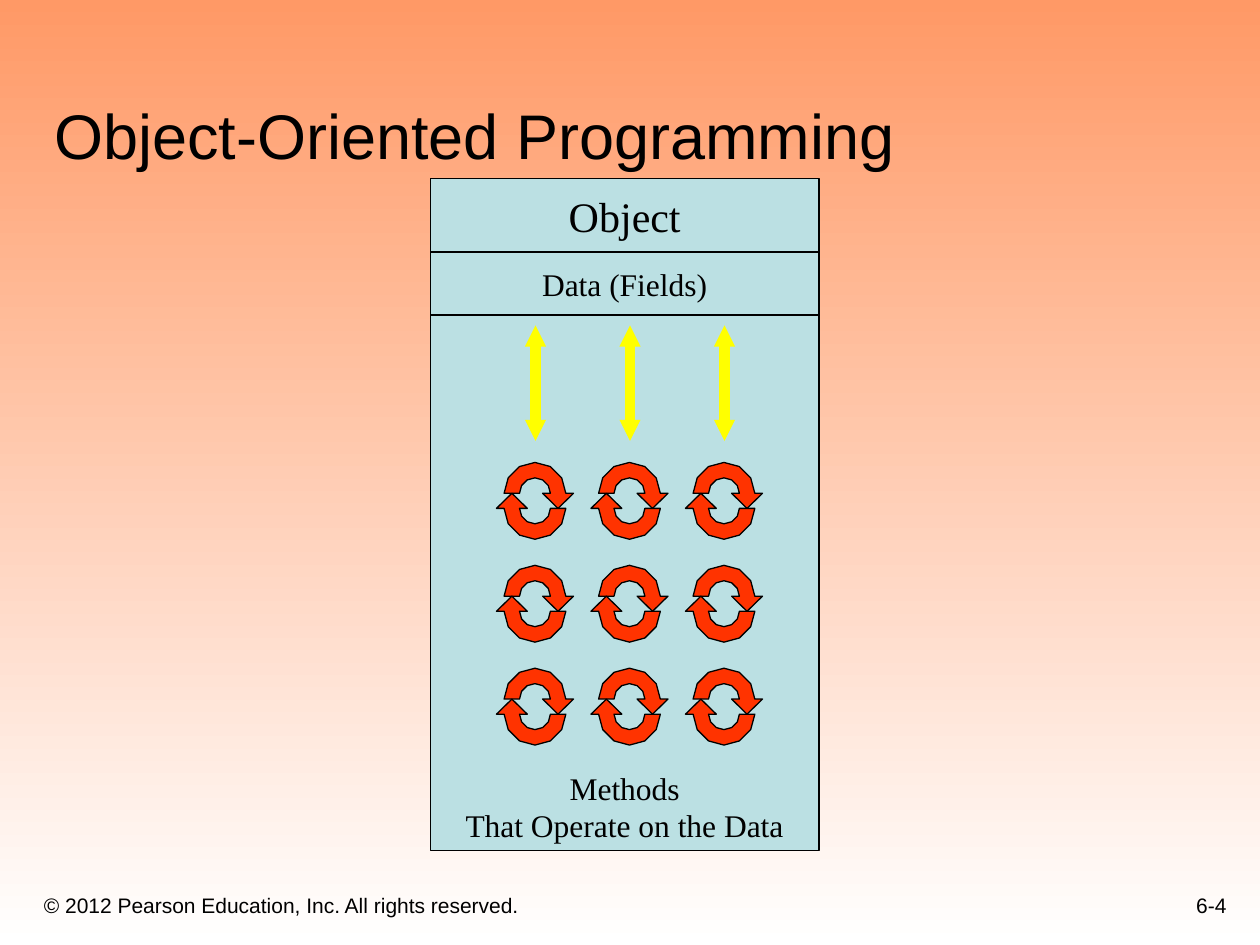
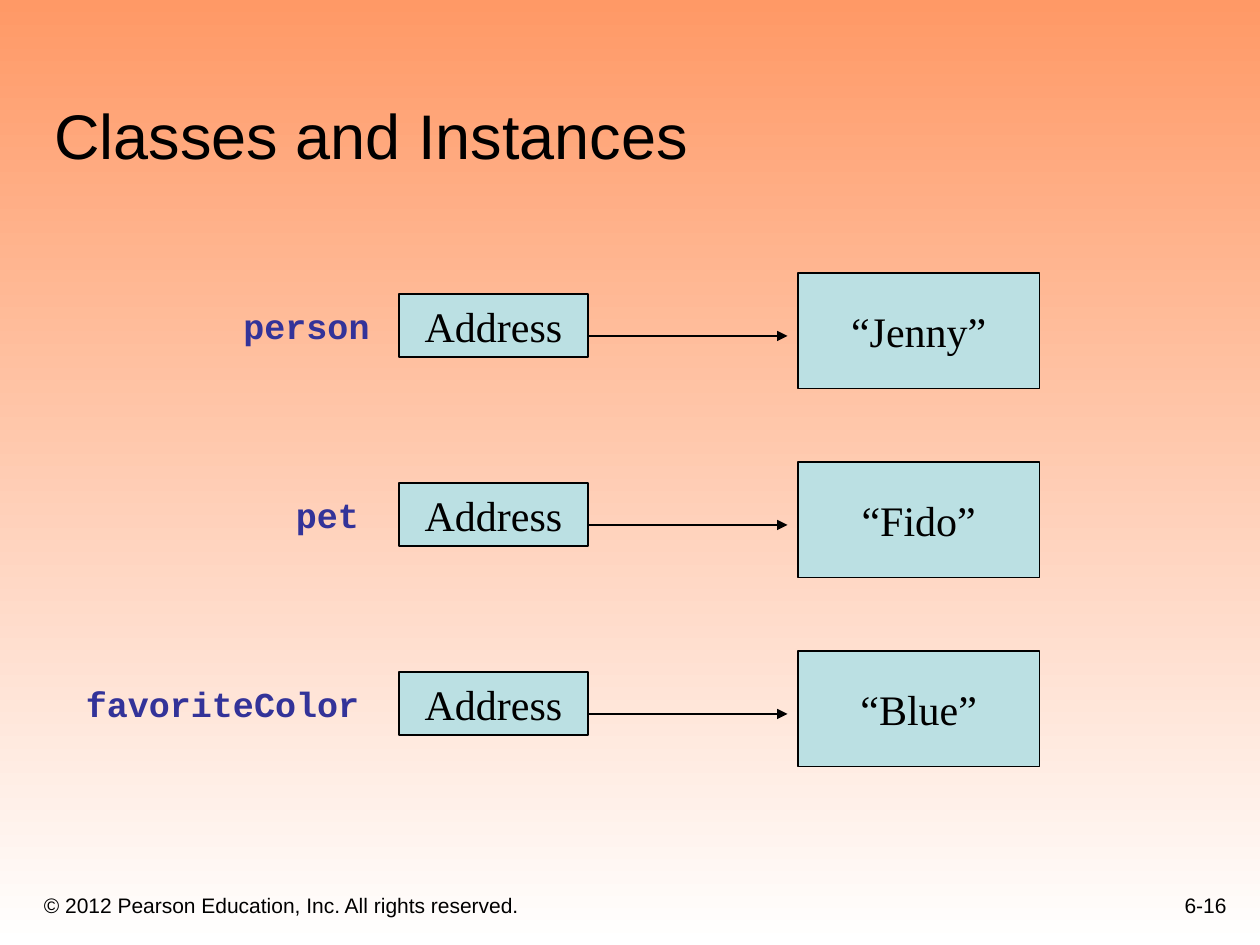
from math import cos, pi, sin

from lxml.etree import SubElement
from pptx import Presentation
from pptx.dml.color import RGBColor
from pptx.enum.shapes import MSO_CONNECTOR, MSO_SHAPE
from pptx.enum.text import MSO_ANCHOR, MSO_AUTO_SIZE, PP_ALIGN
from pptx.oxml.ns import qn
from pptx.util import Inches, Pt

BLACK, PANEL, RED, YELLOW, NAVY = "000000", "BBE0E3", "FF3300", "FFFF00", "333399"
BACKGROUND = ("FF9966", "FFFFFF")
SANS, SERIF, MONO = "Arial", "Times New Roman", "Courier New"
COPYRIGHT = "© 2012 Pearson Education, Inc. All rights reserved."


def color(value):
    return RGBColor.from_string(value)


def grid(*steps):
    """Lengths on the layout grid, twelve steps to the inch."""
    return [Inches(step / 12) for step in steps]


def write(box, text, size, font, ink=BLACK, bold=False, align=PP_ALIGN.LEFT,
          anchor=MSO_ANCHOR.MIDDLE, wrap=True, fit=MSO_AUTO_SIZE.NONE):
    frame = box.text_frame
    frame.word_wrap = wrap
    frame.auto_size = fit
    frame.vertical_anchor = anchor
    para = frame.paragraphs[0]
    para.alignment = align
    for number, line in enumerate(text.split("\n")):
        if number:
            para.add_line_break()
        span = para.add_run()
        span.text = line
        span.font.size = Pt(size)
        span.font.name = font
        span.font.bold = bold
        span.font.color.rgb = color(ink)


def add_label(page, left, top, width, height, text, size, font, **style):
    box = page.shapes.add_textbox(*grid(left, top, width, height))
    write(box, text, size, font, **style)


def paint(shape, fill):
    shape.shadow.inherit = False
    shape.fill.solid()
    shape.fill.fore_color.rgb = color(fill)
    shape.line.color.rgb = color(BLACK)
    shape.line.width = Pt(0.75)


def add_panel(page, left, top, width, height, text, size, anchor=MSO_ANCHOR.MIDDLE):
    panel = page.shapes.add_shape(MSO_SHAPE.RECTANGLE, *grid(left, top, width, height))
    paint(panel, PANEL)
    write(panel, text, size, SERIF, align=PP_ALIGN.CENTER, anchor=anchor, wrap=False)


def add_arrow(page, x1, y1, x2, y2, ink, width, ends, size):
    arrow = page.shapes.add_connector(MSO_CONNECTOR.STRAIGHT, *grid(x1, y1, x2, y2))
    arrow.line.color.rgb = color(ink)
    arrow.line.width = Pt(width)
    outline = arrow.line._get_or_add_ln()
    for end in ends:
        SubElement(outline, qn(f"a:{end}"), type="triangle", w=size, len=size)
    SubElement(arrow._element.spPr, qn("a:effectLst"))


def add_page(deck, title, number):
    page = deck.slides.add_slide(deck.slide_layouts[6])
    # Background fading downwards
    fill = page.background.fill
    fill.gradient()
    fill.gradient_angle = 270
    for stop, shade in zip(fill.gradient_stops, BACKGROUND):
        stop.color.rgb = color(shade)
    # Footer and title
    bottom = MSO_ANCHOR.BOTTOM
    add_label(page, 3, 83, 73, 5, COPYRIGHT, 12, SANS, anchor=bottom)
    add_label(page, 93, 82, 25, 6, number, 12, SANS, align=PP_ALIGN.RIGHT, anchor=bottom)
    add_label(page, 4, 4, 113, 13, title, 36, SANS, anchor=bottom)
    return page


def add_cycle(page, center_x, center_y):
    """Two half-ring arrows, the second being the first turned half way round."""
    outer, inner, offset, steps = 2.94, 1.47, 0.72, 6
    angles = [pi * step / steps for step in range(steps + 1)]
    inside = [(inner * cos(a), -offset - inner * sin(a)) for a in angles]
    outside = [(outer * cos(a), -offset - outer * sin(a)) for a in reversed(angles)]
    head = [(3.67, -offset), (2.2, offset), (0.73, -offset)]
    for turn in (1, -1):
        points = [grid(center_x + turn * x, center_y + turn * y)
                  for x, y in inside + outside + head]
        builder = page.shapes.build_freeform(*points[0])
        builder.add_line_segments(points[1:], close=True)
        paint(builder.convert_to_shape(), RED)


def add_object_diagram(page, left, top, width):
    # Stacked panels
    add_panel(page, left, top, width, 7, "Object", 24)
    add_panel(page, left, top + 7, width, 6, "Data (Fields)", 18)
    add_panel(page, left, top + 13, width, 51, "Methods\nThat Operate on the Data", 18,
              anchor=MSO_ANCHOR.BOTTOM)
    # Columns of methods, each tied to the data by a double arrow
    for column in range(3):
        x = left + 10 + 9 * column
        for row in range(3):
            add_cycle(page, x - 0.05, top + 30.7 + 9.8 * row)
        add_arrow(page, x, top + 25, x, top + 14, YELLOW, 6, ("headEnd", "tailEnd"), "sm")


def add_reference(page, top, name, left, value):
    # Variable name, as wide as its letters
    add_label(page, left, top + 2.36, 2 * len(name) + 2.45, 5.24, name, 20, MONO, ink=NAVY,
              bold=True, anchor=MSO_ANCHOR.TOP, wrap=False,
              fit=MSO_AUTO_SIZE.SHAPE_TO_FIT_TEXT)
    # Address pointing to the instance
    add_panel(page, 38, top + 2, 18, 6, "Address", 24)
    add_panel(page, 76, top, 23, 11, value, 24)
    add_arrow(page, 56, top + 6, 75, top + 6, BLACK, 0.75, ("tailEnd",), "med")


def main():
    deck = Presentation()
    deck.slide_width, deck.slide_height = Inches(10), Inches(7.5)

    page = add_page(deck, "Object-Oriented Programming", "6-4")
    add_object_diagram(page, 41, 17, 37)

    page = add_page(deck, "Classes and Instances", "6-16")
    references = [("person", 22, "“Jenny”"), ("pet", 27, "“Fido”"),
                  ("favoriteColor", 7, "“Blue”")]
    for row, reference in enumerate(references):
        add_reference(page, 26 + 18 * row, *reference)

    deck.save("out.pptx")


if __name__ == "__main__":
    main()
